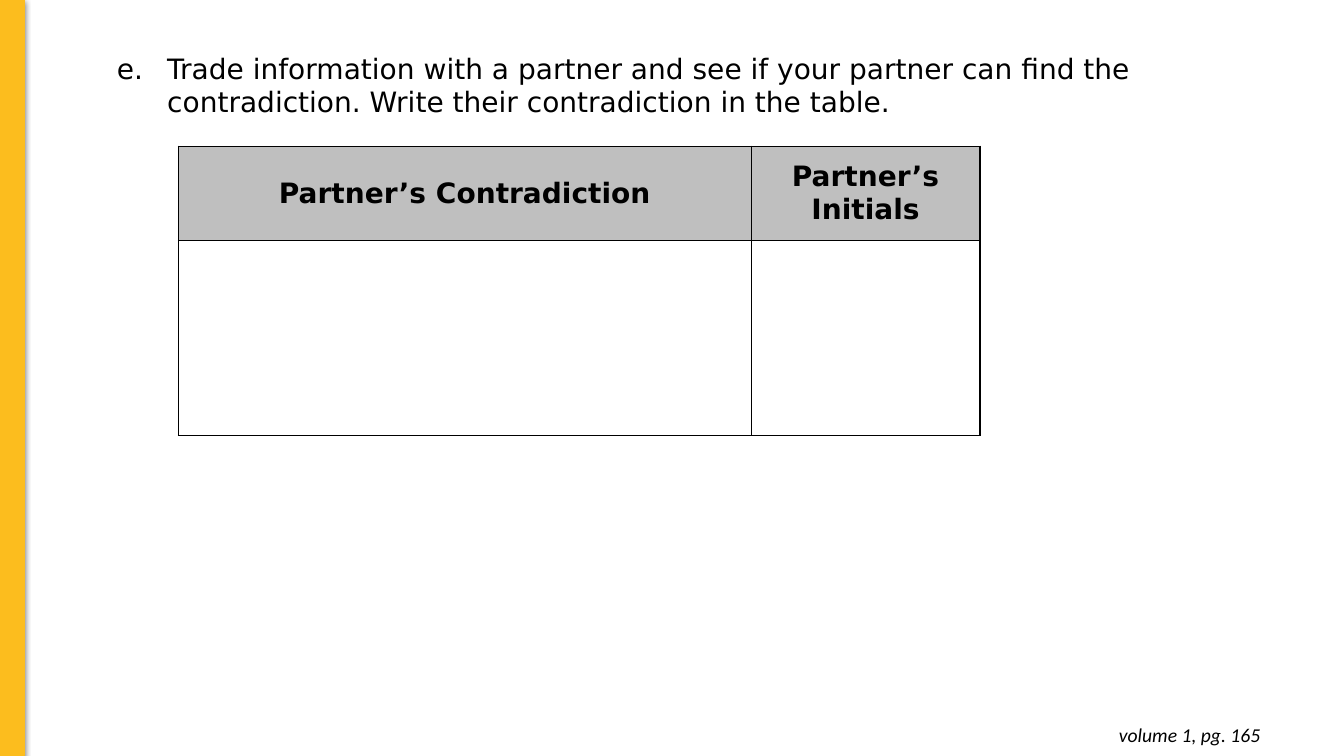
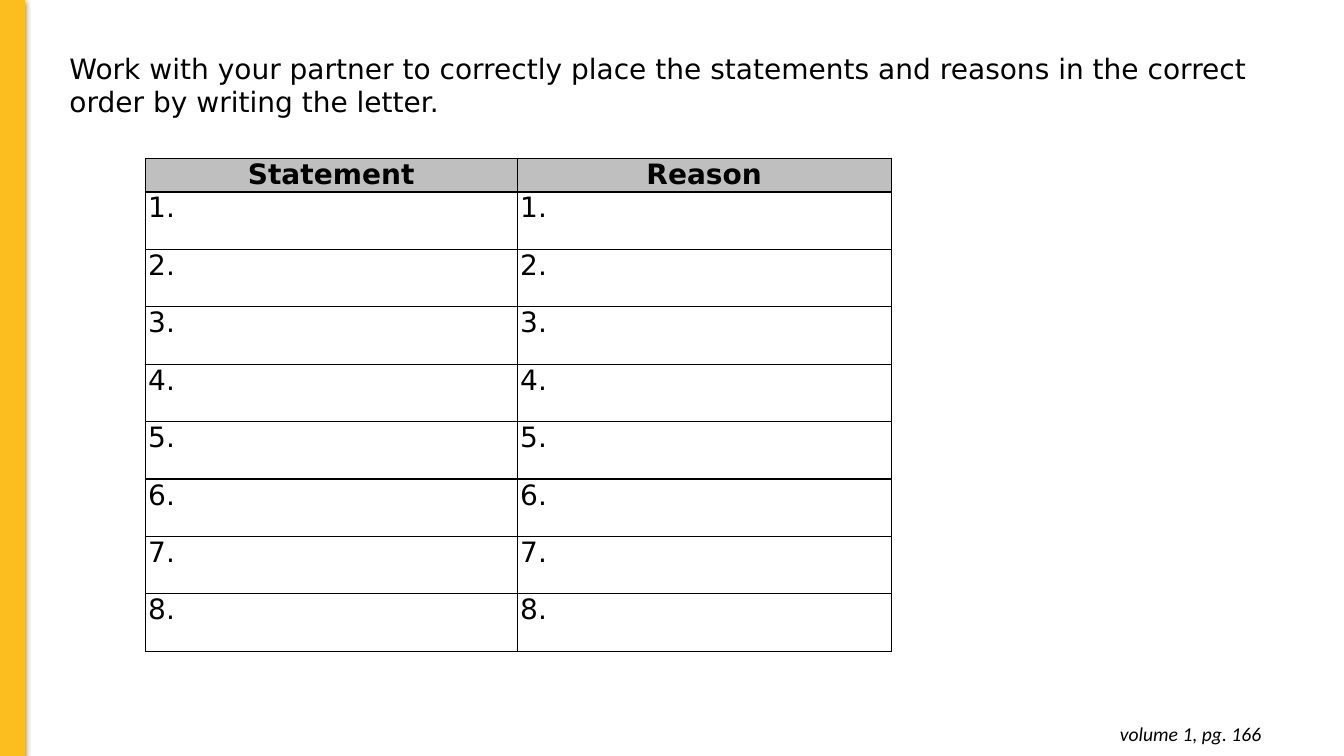
"""Build two partner worksheet slides with instructions and tables."""
import lxml.etree
import pptx
import pptx.dml.color
import pptx.enum.shapes
import pptx.enum.text
import pptx.oxml.ns
import pptx.util

Inches = pptx.util.Inches
Pt = pptx.util.Pt
Align = pptx.enum.text.PP_ALIGN
Anchor = pptx.enum.text.MSO_ANCHOR
COLORS = {"ink": "000000", "band": "FCBD1E", "head": "BFBFBF", "page": "FFFFFF"}


def color(name):
    return pptx.dml.color.RGBColor.from_string(COLORS[name])


def child(parent, tag, **attrs):
    return lxml.etree.SubElement(parent, pptx.oxml.ns.qn("a:" + tag), **attrs)


class Deck:
    font = "DejaVu Sans"

    def __init__(self):
        self.file = pptx.Presentation()
        self.file.slide_width = Inches(13.33)
        self.file.slide_height = Inches(7.5)
        self.slide = None

    def start(self, page, left, top):
        self.slide = self.file.slides.add_slide(self.file.slide_layouts[6])
        self.slide.background.fill.solid()
        self.slide.background.fill.fore_color.rgb = color("page")
        self.footer(page, left, top)

    def text(self, para, words, size=20, font=font, bold=False, italic=False):
        run = para.add_run()
        run.text = words
        run.font.size = Pt(size)
        run.font.name = font
        run.font.bold = bold
        run.font.italic = italic
        run.font.color.rgb = color("ink")

    def box(self, left, top, width, height):
        frame = self.slide.shapes.add_textbox(
            Inches(left), Inches(top), Inches(width), Inches(height)).text_frame
        frame.word_wrap = True
        frame.auto_size = pptx.enum.text.MSO_AUTO_SIZE.SHAPE_TO_FIT_TEXT
        return frame

    def footer(self, page, left, top):
        frame = self.box(left, top, 2.88, 0.44)
        frame.margin_left = frame.margin_right = Inches(0.1)
        frame.margin_top = frame.margin_bottom = Inches(0.1)
        para = frame.paragraphs[0]
        para.alignment = Align.RIGHT
        self.text(para, f"volume 1, pg. {page}", 14, "Calibri", italic=True)

    def prompt(self, words, left, width, number=None):
        para = self.box(left, 0.46, width, 0.77).paragraphs[0]
        if number:
            props = para._p.get_or_add_pPr()
            props.set("marL", str(Inches(0.5)))
            props.set("indent", str(Inches(-0.5)))
            child(child(props, "buClr"), "srgbClr", val=COLORS["ink"])
            child(props, "buFont", typeface=self.font)
            child(props, "buAutoNum", type="alphaLcPeriod", startAt=str(number))
        self.text(para, words)

    def band(self):
        band = self.slide.shapes.add_shape(
            pptx.enum.shapes.MSO_SHAPE.RECTANGLE, 0, 0, Inches(0.24), Inches(7.5))
        band.fill.solid()
        band.fill.fore_color.rgb = color("band")
        band.line.color.rgb = color("band")
        band.line.width = Pt(0.75)
        band.shadow.inherit = False
        effects = band._element.spPr.find(pptx.oxml.ns.qn("a:effectLst"))
        shadow = child(effects, "outerShdw", blurRad=str(Pt(4.5)),
                       dist=str(Pt(1.5)), dir="5400000", rotWithShape="0")
        tint = child(shadow, "srgbClr", val=COLORS["ink"])
        child(tint, "alpha", val="50000")

    def border(self, cell):
        props = cell._tc.get_or_add_tcPr()
        for spot, side in enumerate(("lnL", "lnR", "lnT", "lnB")):
            line = child(props, side, w=str(Pt(1)))
            child(child(line, "solidFill"), "srgbClr", val=COLORS["ink"])
            props.insert(spot, line)

    def table(self, rows, left, top, widths, heights, pad):
        table = self.slide.shapes.add_table(
            len(rows), len(widths), Inches(left), Inches(top),
            Inches(sum(widths)), Inches(sum(heights))).table
        table.first_row = table.horz_banding = False
        for column, width in zip(table.columns, widths):
            column.width = Inches(width)
        for r, (texts, height) in enumerate(zip(rows, heights)):
            table.rows[r].height = Inches(height)
            for c, words in enumerate(texts):
                self.cell(table.cell(r, c), words, pad, r == 0)

    def cell(self, cell, words, pad, head):
        cell.margin_left = cell.margin_right = Inches(pad)
        cell.margin_top = cell.margin_bottom = 0
        cell.fill.solid()
        cell.fill.fore_color.rgb = color("head" if head else "page")
        self.border(cell)
        para = cell.text_frame.paragraphs[0]
        if head:
            cell.vertical_anchor = Anchor.MIDDLE
            para.alignment = Align.CENTER
        if words:
            self.text(para, words, bold=head)


def main():
    deck = Deck()

    deck.start(165, 9.72, 7.07)
    deck.prompt("Trade information with a partner and see if your partner can find "
                "the contradiction. Write their contradiction in the table.",
                1.06, 11.65, number=5)
    deck.band()
    deck.table([("Partner’s Contradiction", "Partner’s Initials"), ("", "")],
               1.77, 1.45, (5.68, 2.27), (0.94, 1.93), 0.07)

    deck.start(166, 9.73, 7.06)
    deck.prompt("Work with your partner to correctly place the statements and reasons "
                "in the correct order by writing the letter.", 0.59, 12.02)
    deck.band()
    steps = [(f"{n}.", f"{n}.") for n in range(1, 9)]
    deck.table([("Statement", "Reason")] + steps,
               1.44, 1.57, (3.69, 3.71), [0.33] + [0.57] * len(steps), 0.03)

    deck.file.save("out.pptx")


if __name__ == "__main__":
    main()
